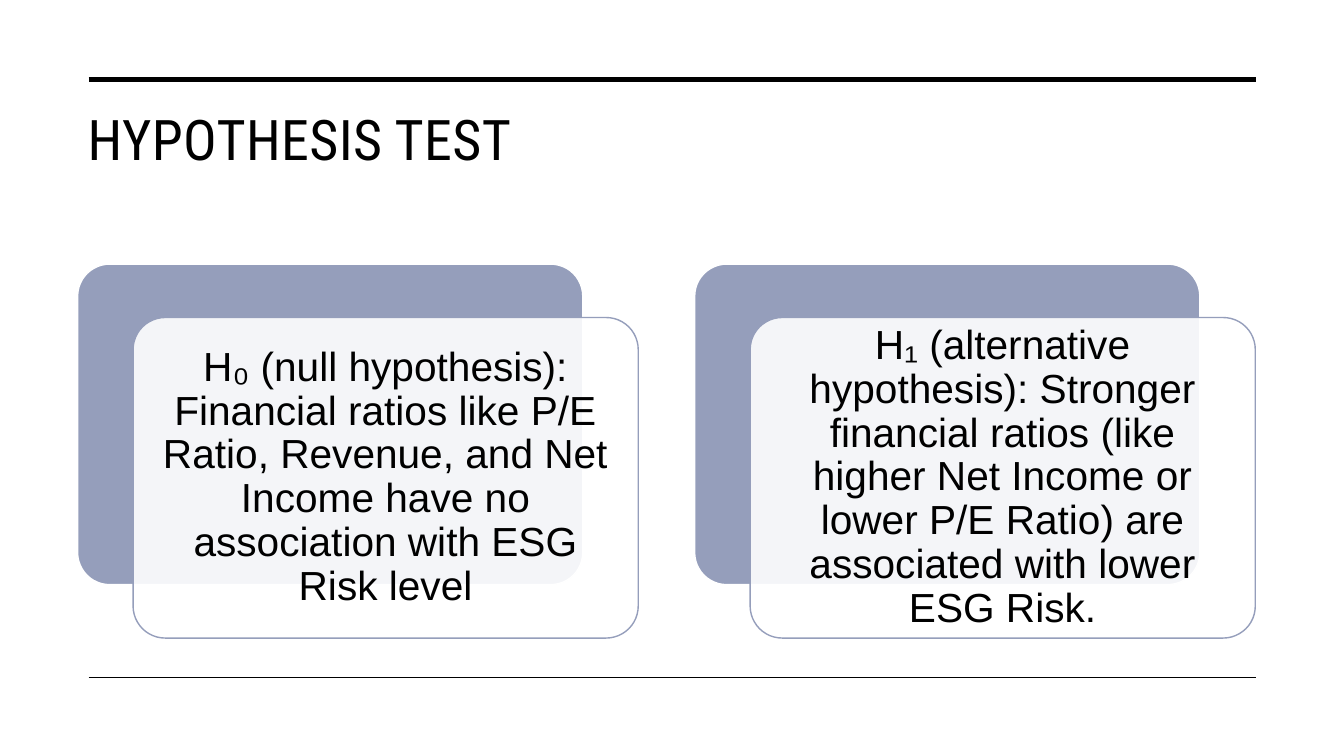
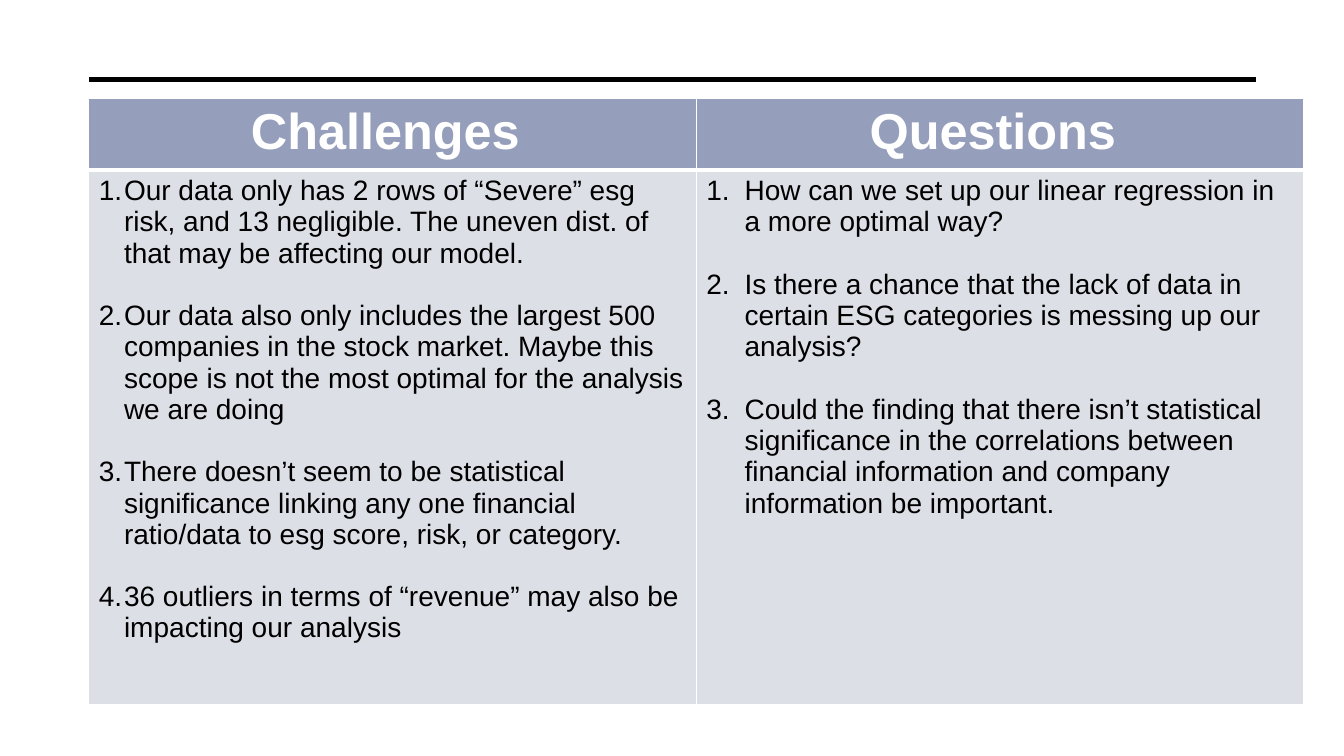
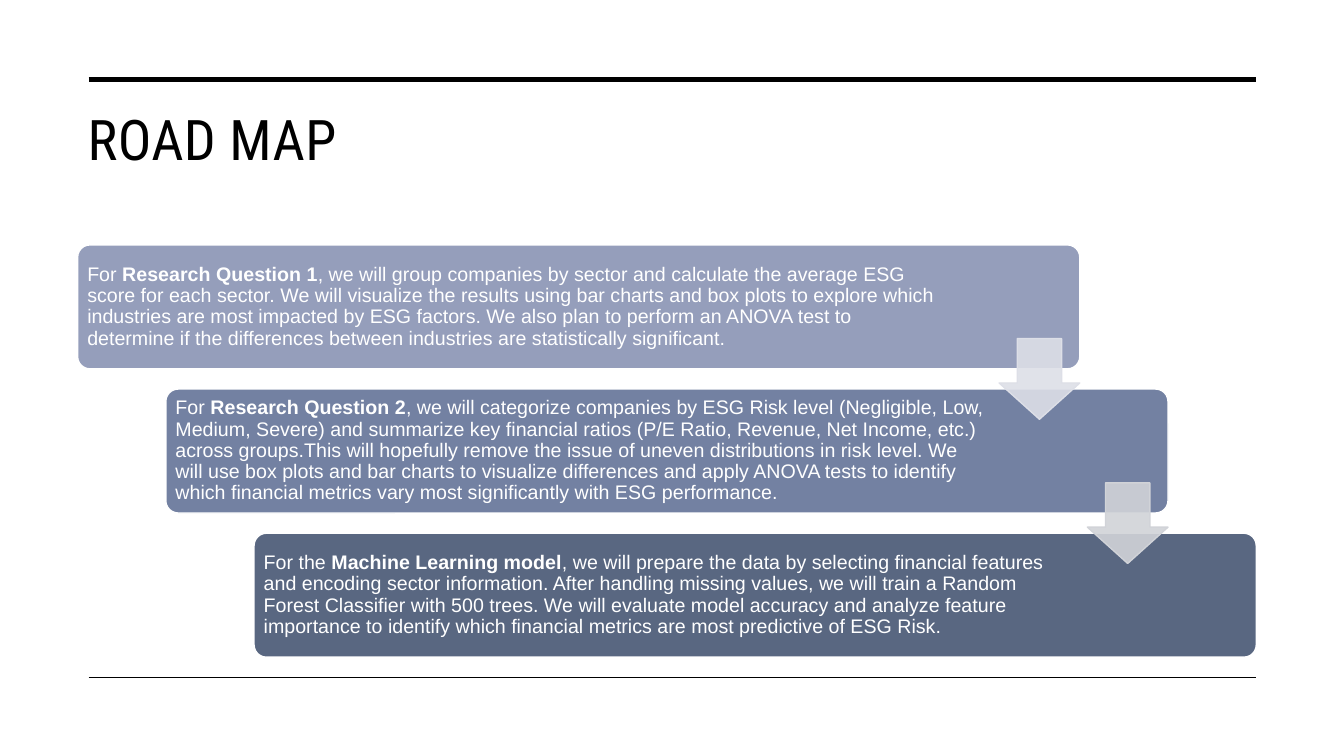
from dataclasses import dataclass

from lxml import etree
from pptx import Presentation
from pptx.dml.color import RGBColor
from pptx.enum.shapes import MSO_CONNECTOR, MSO_SHAPE
from pptx.enum.text import MSO_ANCHOR, MSO_AUTO_SIZE, PP_ALIGN
from pptx.oxml.ns import qn
from pptx.util import Inches, Pt

ROUNDED, DOWN_ARROW = MSO_SHAPE.ROUNDED_RECTANGLE, MSO_SHAPE.DOWN_ARROW
STRAIGHT = MSO_CONNECTOR.STRAIGHT
TOP, MIDDLE = MSO_ANCHOR.TOP, MSO_ANCHOR.MIDDLE
LEFT, CENTER = PP_ALIGN.LEFT, PP_ALIGN.CENTER
FIXED_SIZE = MSO_AUTO_SIZE.NONE
TITLE_ONLY, BLANK = 5, 6


@dataclass(frozen=True)
class Theme:
    title_font: str = "Roboto Condensed"
    body_font: str = "Arial"
    ink: str = "000000"
    paper: str = "FFFFFF"
    accent: str = "959EBB"
    accent_mid: str = "7381A2"
    accent_dark: str = "596781"
    tint: str = "DDDFE7"
    tint_dark: str = "D1D3D8"
    title_size: float = 40
    header_size: float = 36
    card_size: float = 29
    table_size: float = 20
    step_size: float = 14
    item_gap: float = 22.3


THEME = Theme()

# Shared frame, in inches
CONTENT_LEFT, CONTENT_WIDTH = 0.77, 11.69
RULE_LEFT, RULE_RIGHT = 0.88, 12.46
RULES = [(0.79, 3.5), (6.72, 1)]

HYPOTHESES = [
    "H₀ (null hypothesis): Financial ratios like P/E Ratio, Revenue, and Net Income "
    "have no association with ESG Risk level",
    "H₁ (alternative hypothesis): Stronger financial ratios (like higher Net Income or "
    "lower P/E Ratio) are associated with lower ESG Risk.",
]

# Heading, hanging indent, items
TABLE_COLUMNS = [
    ("Challenges", 0.25, [
        "Our data only has 2 rows of “Severe” esg risk, and 13 negligible. The uneven "
        "dist. of that may be affecting our model.",
        "Our data also only includes the largest 500 companies in the stock market. "
        "Maybe this scope is not the most optimal for the analysis we are doing",
        "There doesn’t seem to be statistical significance linking any one financial "
        "ratio/data to esg score, risk, or category.",
        "36 outliers in terms of “revenue” may also be impacting our analysis",
    ]),
    ("Questions", 0.38, [
        "How can we set up our linear regression in a more optimal way?",
        "Is there a chance that the lack of data in certain ESG categories is messing up "
        "our analysis?",
        "Could the finding that there isn’t statistical significance in the correlations "
        "between financial information and company information be important.",
    ]),
]

# Fill, right inset, lead-in, bold name, description
STEPS = [
    (THEME.accent, 1.32, "For ", "Research Question 1",
     ", we will group companies by sector and calculate the average ESG score for each "
     "sector. We will visualize the results using bar charts and box plots to explore "
     "which industries are most impacted by ESG factors. We also plan to perform an ANOVA "
     "test to determine if the differences between industries are statistically "
     "significant."),
    (THEME.accent_mid, 1.74, "For ", "Research Question 2",
     ", we will categorize companies by ESG Risk level (Negligible, Low, Medium, Severe) "
     "and summarize key financial ratios (P/E Ratio, Revenue, Net Income, etc.) across "
     "groups.This will hopefully remove the issue of uneven distributions in risk level. "
     "We will use box plots and bar charts to visualize differences and apply ANOVA tests "
     "to identify which financial metrics vary most significantly with ESG performance."),
    (THEME.accent_dark, 1.74, "For the ", "Machine Learning model",
     ", we will prepare the data by selecting financial features and encoding sector "
     "information. After handling missing values, we will train a Random Forest "
     "Classifier with 500 trees. We will evaluate model accuracy and analyze feature "
     "importance to identify which financial metrics are most predictive of ESG Risk."),
]
ARROW_COLORS = [THEME.tint, THEME.tint_dark]


def rgb(color):
    return RGBColor.from_string(color)


def write(para, *texts, size, color=THEME.ink, font=THEME.body_font, bold=(),
          align=LEFT, line_spacing=1.0, tracking=None):
    """Add one span per text; bold holds the positions of the bold spans."""
    para.alignment = align
    para.line_spacing = line_spacing
    for position, text in enumerate(texts):
        span = para.add_run()
        span.text = text
        span.font.name = font
        span.font.size = Pt(size)
        span.font.bold = position in bold
        span.font.color.rgb = rgb(color)
        if tracking:
            span.font._element.set("spc", str(tracking))


def set_frame(frame, anchor, left, top, right, bottom):
    frame.word_wrap = True
    frame.auto_size = FIXED_SIZE
    frame.vertical_anchor = anchor
    frame.margin_left, frame.margin_top = Inches(left), Inches(top)
    frame.margin_right, frame.margin_bottom = Inches(right), Inches(bottom)


def add_block(page, kind, left, top, width, height, fill, line, adjust, opacity=100):
    block = page.shapes.add_shape(
        kind, Inches(left), Inches(top), Inches(width), Inches(height))
    block.shadow.inherit = False
    for position, value in enumerate(adjust):
        block.adjustments[position] = value
    block.fill.solid()
    block.fill.fore_color.rgb = rgb(fill)
    if opacity < 100:
        fill_color = block.element.spPr.find(qn("a:solidFill")).find(qn("a:srgbClr"))
        etree.SubElement(fill_color, qn("a:alpha"), val=str(opacity * 1000))
    block.line.color.rgb = rgb(line)
    block.line.width = Pt(1)
    return block


def add_page(deck, title=None):
    page = deck.slides.add_slide(deck.slide_layouts[TITLE_ONLY if title else BLANK])
    if title:
        box = page.shapes.title
        box.left, box.top = Inches(CONTENT_LEFT), Inches(0.99)
        box.width, box.height = Inches(CONTENT_WIDTH), Inches(1.26)
        set_frame(box.text_frame, TOP, 0.1, 0.05, 0.1, 0.05)
        write(box.text_frame.paragraphs[0], title, size=THEME.title_size,
              font=THEME.title_font, tracking=30)
    for top, weight in RULES:
        rule = page.shapes.add_connector(
            STRAIGHT, Inches(RULE_LEFT), Inches(top), Inches(RULE_RIGHT), Inches(top))
        rule.line.color.rgb = rgb(THEME.ink)
        rule.line.width = Pt(weight)
        etree.SubElement(rule.element.spPr, qn("a:effectLst"))
    return page


def format_cell(cell, fill, top_border, bottom_border):
    properties = cell._tc.get_or_add_tcPr()
    borders = [("L", 1), ("R", 1), ("T", top_border), ("B", bottom_border)]
    for side, weight in borders:
        border = etree.SubElement(properties, qn(f"a:ln{side}"), w=str(Pt(weight)))
        solid = etree.SubElement(border, qn("a:solidFill"))
        etree.SubElement(solid, qn("a:srgbClr"), val=THEME.paper)
    cell.fill.solid()
    cell.fill.fore_color.rgb = rgb(fill)


def number_paragraph(para, indent):
    properties = para._p.get_or_add_pPr()
    properties.set("marL", str(Inches(indent)))
    properties.set("indent", str(-Inches(indent)))
    etree.SubElement(properties, qn("a:buFont"), typeface=THEME.body_font)
    etree.SubElement(properties, qn("a:buAutoNum"), type="arabicPeriod")


def build_hypotheses(deck):
    page = add_page(deck, "HYPOTHESIS TEST")
    top, width, height, pitch = 2.62, 5.01, 3.18, 6.12
    shift_x, shift_y = 0.55, 0.53
    for position, text in enumerate(HYPOTHESES):
        left = CONTENT_LEFT + position * pitch
        add_block(page, ROUNDED, left, top, width, height,
                  THEME.accent, THEME.paper, [0.1])
        card = add_block(page, ROUNDED, left + shift_x, top + shift_y, width, height,
                         THEME.paper, THEME.accent, [0.1], opacity=90)
        set_frame(card.text_frame, MIDDLE, 0.12, 0.12, 0.12, 0.12)
        write(card.text_frame.paragraphs[0], text, size=THEME.card_size,
              align=CENTER, line_spacing=0.9)


def build_questions(deck):
    page = add_page(deck)
    row_heights = [0.71, 5.3]
    table = page.shapes.add_table(
        2, len(TABLE_COLUMNS), Inches(RULE_LEFT), Inches(0.98),
        Inches(12.05), Inches(sum(row_heights))).table
    for row, height in zip(table.rows, row_heights):
        row.height = Inches(height)
    for column, (heading, indent, items) in enumerate(TABLE_COLUMNS):
        header, body = table.cell(0, column), table.cell(1, column)
        format_cell(header, THEME.accent, 1, 3)
        format_cell(body, THEME.tint, 3, 1)
        header.margin_right = Inches(0.24)
        write(header.text_frame.paragraphs[0], heading, size=THEME.header_size,
              color=THEME.paper, bold=[0], align=CENTER)
        for position, item in enumerate(items):
            frame = body.text_frame
            para = frame.add_paragraph() if position else frame.paragraphs[0]
            if position:
                para.space_before = Pt(THEME.item_gap)
            number_paragraph(para, indent)
            write(para, item, size=THEME.table_size)


def build_road_map(deck):
    page = add_page(deck, "ROAD MAP")
    top, width, height, pitch = 2.43, 9.94, 1.23, 1.43
    arrow_size, arrow_drop = 0.8, 0.93
    stagger = (CONTENT_WIDTH - width) / (len(STEPS) - 1)
    for position, (fill, right_inset, *texts) in enumerate(STEPS):
        step = add_block(page, ROUNDED, CONTENT_LEFT + position * stagger,
                         top + position * pitch, width, height,
                         fill, THEME.paper, [0.1])
        set_frame(step.text_frame, MIDDLE, 0.06, 0.06, right_inset, 0.06)
        write(step.text_frame.paragraphs[0], *texts, size=THEME.step_size,
              color=THEME.paper, bold=[1], line_spacing=0.9)
    for position, color in enumerate(ARROW_COLORS):
        right = CONTENT_LEFT + position * stagger + width
        add_block(page, DOWN_ARROW, right - arrow_size,
                  top + position * pitch + arrow_drop, arrow_size, arrow_size,
                  color, color, [0.55, 0.45], opacity=90)


def main():
    deck = Presentation()
    deck.slide_width, deck.slide_height = Inches(13.33), Inches(7.5)
    build_hypotheses(deck)
    build_questions(deck)
    build_road_map(deck)
    deck.save("out.pptx")


if __name__ == "__main__":
    main()
